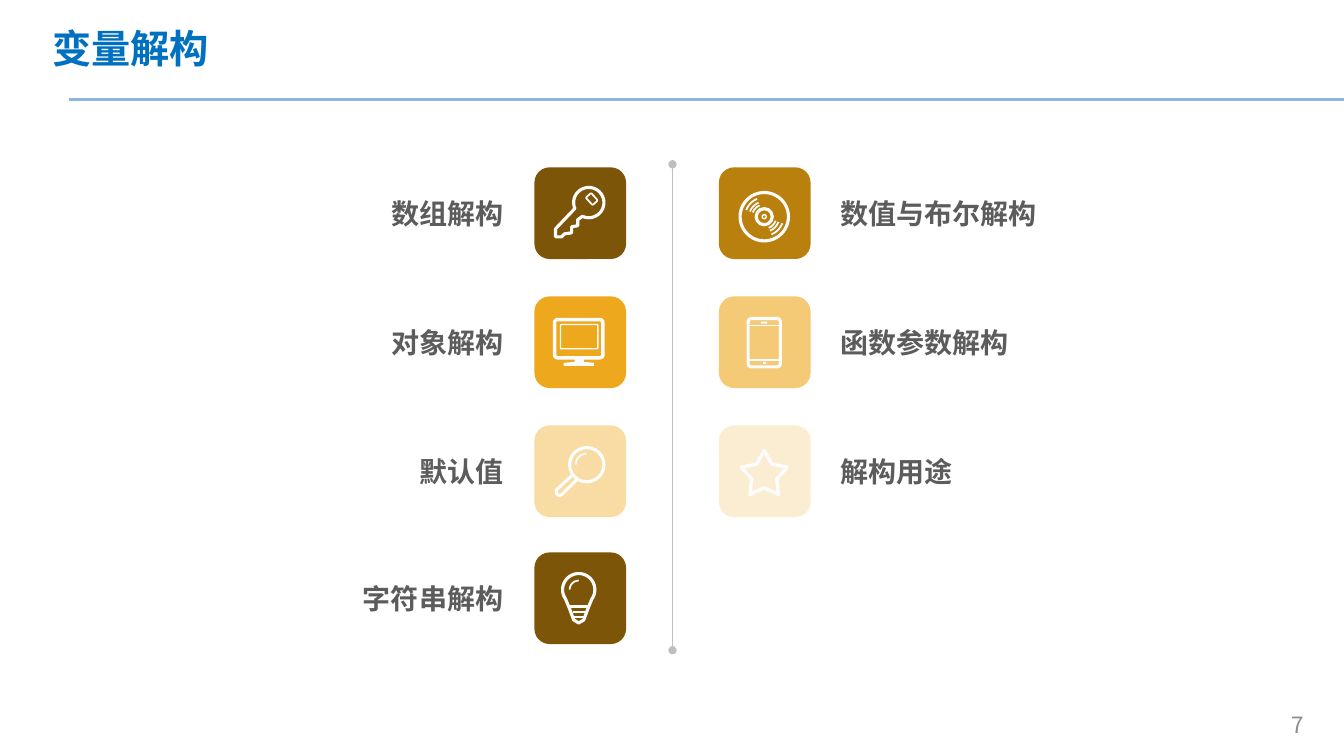
import math

from lxml import etree
from pptx import Presentation
from pptx.dml.color import RGBColor
from pptx.enum import shapes, text
from pptx.oxml.ns import qn
from pptx.util import Inches, Pt

FONT = "Noto Sans CJK SC"
WHITE = "FCFCFC"
TILE = 0.91
ROW_TOPS = [1.66, 2.94, 4.22, 5.48]
ROUND, OVAL = shapes.MSO_SHAPE.ROUNDED_RECTANGLE, shapes.MSO_SHAPE.OVAL


def color(value):
    return RGBColor.from_string(value)


def style_text(p, size, value, bold=False, align=text.PP_ALIGN.LEFT):
    p.alignment = align
    p.font.size, p.font.bold, p.font.name = Pt(size), bold, FONT
    p.font.color.rgb = color(value)
    etree.SubElement(p._p.pPr.find(qn("a:defRPr")), qn("a:ea"), typeface=FONT)


def paint(sp, fill=None, weight=None):
    """Fill the shape, or outline it in white, without a shadow."""
    sp.shadow.inherit = False
    if fill:
        sp.fill.solid()
        sp.fill.fore_color.rgb = color(fill)
    else:
        sp.fill.background()
    if weight:
        sp.line.color.rgb = color(WHITE)
        sp.line.width = Pt(weight)
    else:
        sp.line.fill.background()
    return sp


def add_line(parent, x1, y1, x2, y2, value, weight, ends=None):
    ln = parent.shapes.add_connector(shapes.MSO_CONNECTOR.STRAIGHT,
                                     *map(Inches, (x1, y1, x2, y2)))
    ln.line.color.rgb = color(value)
    ln.line.width = Pt(weight)
    etree.SubElement(ln._element.spPr, qn("a:effectLst"))
    if ends:
        for tag in ("a:headEnd", "a:tailEnd"):
            etree.SubElement(ln.line._get_or_add_ln(), qn(tag), type=ends)


def arc(cx, cy, radius, start=0, end=360, step=6):
    """Points along an arc; angles in degrees, clockwise from the right."""
    n = max(2, round((end - start) / step))
    angles = [math.radians(start + (end - start) * i / n) for i in range(n + 1)]
    return [(cx + radius * math.cos(a), cy + radius * math.sin(a)) for a in angles]


class Tile:
    """A coloured square whose icon parts are placed from its top left corner."""

    def __init__(self, s, x, y, fill):
        self.group = s.shapes.add_group_shape()
        self.x, self.y = x, y
        self.preset(ROUND, 0, 0, TILE, TILE, fill=fill)

    def preset(self, kind, x, y, w, h, fill=None, weight=None):
        sp = self.group.shapes.add_shape(
            kind, *map(Inches, (self.x + x, self.y + y, w, h)))
        return paint(sp, fill, weight)

    def circle(self, cx, cy, radius, weight):
        self.preset(OVAL, cx - radius, cy - radius, 2 * radius, 2 * radius, weight=weight)

    def outline(self, points, weight=None, close=False, fill=None):
        pts = [(Inches(self.x + x), Inches(self.y + y)) for x, y in points]
        fb = self.group.shapes.build_freeform(*pts[0])
        fb.add_line_segments(pts[1:], close=close)
        paint(fb.convert_to_shape(), fill, weight)

    def line(self, x1, y1, x2, y2, weight):
        add_line(self.group, self.x + x1, self.y + y1, self.x + x2, self.y + y2,
                 WHITE, weight)


def key(t):
    shaft = [(0.43, 0.52), (0.43, 0.58), (0.37, 0.59), (0.37, 0.65), (0.3, 0.66),
             (0.27, 0.69), (0.21, 0.69), (0.21, 0.61)]
    t.outline(arc(0.54, 0.35, 0.15, 157, 475) + shaft, 2.25, close=True)
    t.preset(ROUND, 0.52, 0.28, 0.1, 0.07, weight=1.25).rotation = 48


def monitor(t):
    t.preset(ROUND, 0.2, 0.23, 0.48, 0.38, weight=2.5).adjustments[0] = 0.08
    t.preset(ROUND, 0.26, 0.28, 0.37, 0.24, weight=1).adjustments[0] = 0.04
    t.outline([(0.4, 0.61), (0.49, 0.61), (0.49, 0.65), (0.59, 0.66), (0.59, 0.69),
               (0.29, 0.69), (0.29, 0.66), (0.4, 0.65)], close=True, fill=WHITE)


def magnifier(t):
    t.circle(0.52, 0.39, 0.17, 2.25)
    t.outline(arc(0.52, 0.39, 0.11, 180, 270), 1.25)
    t.outline([(0.37, 0.5), (0.22, 0.64), (0.22, 0.68), (0.25, 0.7), (0.28, 0.68),
               (0.42, 0.54)], 2.25)


def bulb(t):
    base = [(0.53, 0.56), (0.49, 0.67), (0.44, 0.7), (0.39, 0.67), (0.35, 0.56)]
    t.outline(arc(0.44, 0.37, 0.16, 145, 395) + base[:], 2.25, close=True)
    t.outline(arc(0.44, 0.37, 0.09, 180, 270), 1.25)
    for y, half, weight in ((0.54, 0.09, 2), (0.59, 0.06, 1.5), (0.64, 0.05, 1.5)):
        t.line(0.44 - half, y, 0.44 + half, y, weight)


def disc(t):
    for radius, weight in ((0.24, 2.25), (0.08, 2.25), (0.02, 1)):
        t.circle(0.45, 0.49, radius, weight)
    for radius in (0.12, 0.15, 0.19):
        for start in (20, 200):
            t.outline(arc(0.45, 0.49, radius, start, start + 48), 1.25)


def phone(t):
    t.preset(ROUND, 0.29, 0.22, 0.32, 0.48, weight=2.25).adjustments[0] = 0.1
    for y in (0.29, 0.63):
        t.line(0.29, y, 0.61, y, 1)
    t.preset(ROUND, 0.42, 0.25, 0.06, 0.02, fill=WHITE)
    t.preset(ROUND, 0.44, 0.65, 0.03, 0.02, fill=WHITE)


def star(t):
    tips = arc(0.45, 0.49, 0.24, -90, 270, 72)
    notches = arc(0.45, 0.49, 0.13, -54, 306, 72)
    t.outline([pt for pair in zip(tips[:5], notches) for pt in pair], 2.5, close=True)


def add_label(s, x, y, label, align):
    """Put a label at x: its right edge when right-aligned, else its left edge."""
    width = 0.2 + 0.28 * len(label)
    left = x - width if align == text.PP_ALIGN.RIGHT else x
    tb = s.shapes.add_textbox(*map(Inches, (left, y, width, 0.44)))
    tb.text_frame.word_wrap = False
    tb.text_frame.auto_size = text.MSO_AUTO_SIZE.SHAPE_TO_FIT_TEXT
    p = tb.text_frame.paragraphs[0]
    p.text = label
    style_text(p, 20, "5C5C5C", True, align)


def add_column(s, x, items, label_x, align):
    for y, (label, fill, draw_icon) in zip(ROW_TOPS, items):
        draw_icon(Tile(s, x, y, fill))
        add_label(s, label_x, y + 0.24, label, align)


def add_frame(s, title, number):
    add_line(s, 0.68, 0.99, 13.33, 0.99, "8EB4E3", 2.25)
    sp = s.shapes.title
    sp.left, sp.top, sp.width, sp.height = map(Inches, (0.42, 0, 12.25, 0.94))
    tb = s.shapes.add_textbox(*map(Inches, (12.63, 6.98, 0.48, 0.42)))
    for box, words in ((sp, title), (tb, number)):
        box.text_frame.text = words
        box.text_frame.vertical_anchor = text.MSO_ANCHOR.MIDDLE
    style_text(sp.text_frame.paragraphs[0], 28, "0070C0", True)
    style_text(tb.text_frame.paragraphs[0], 16, "8C8C8C", align=text.PP_ALIGN.CENTER)


def main():
    prs = Presentation()
    prs.slide_width, prs.slide_height = Inches(13.33), Inches(7.5)
    s = prs.slides.add_slide(prs.slide_layouts[5])
    add_frame(s, "变量解构", "7")
    add_line(s, 6.67, 1.63, 6.67, 6.45, "BFBFBF", 0.5, ends="oval")
    add_column(s, 5.3, [("数组解构", "7C5509", key), ("对象解构", "EEA81D", monitor),
                        ("默认值", "F8DCA4", magnifier), ("字符串解构", "7C5509", bulb)],
               5.09, text.PP_ALIGN.RIGHT)
    add_column(s, 7.13, [("数值与布尔解构", "BA800E", disc),
                         ("函数参数解构", "F4CA77", phone), ("解构用途", "FBEDD1", star)],
               8.24, text.PP_ALIGN.LEFT)
    prs.save("out.pptx")


if __name__ == "__main__":
    main()
